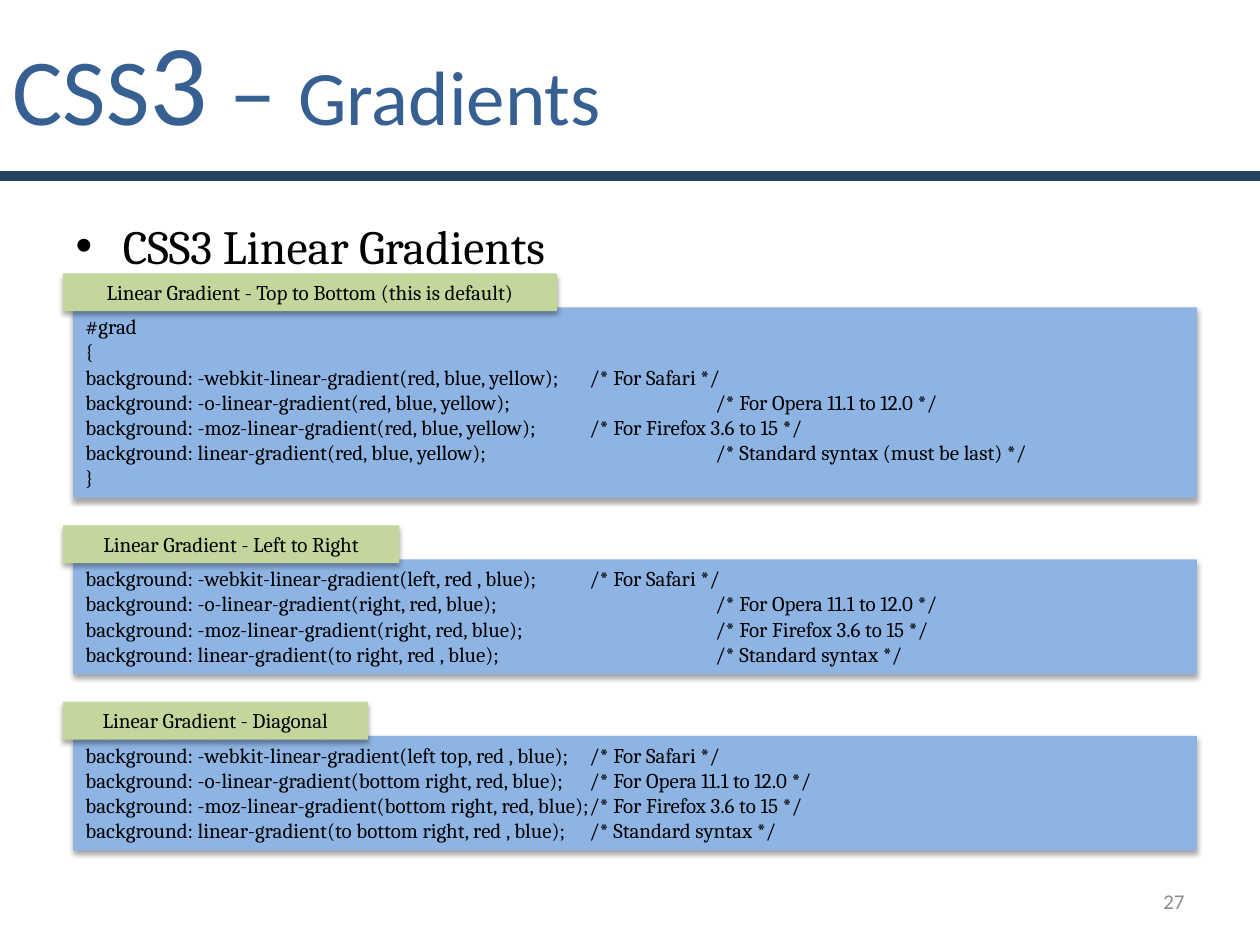
from dataclasses import dataclass

from lxml import etree
from pptx import Presentation
from pptx.dml.color import RGBColor
from pptx.enum.shapes import MSO_SHAPE
from pptx.enum.text import MSO_ANCHOR, MSO_AUTO_SIZE, PP_ALIGN
from pptx.oxml.ns import qn
from pptx.util import Inches, Pt

RECT = MSO_SHAPE.RECTANGLE
TOP, MIDDLE = MSO_ANCHOR.TOP, MSO_ANCHOR.MIDDLE
LEFT, CENTER, RIGHT = PP_ALIGN.LEFT, PP_ALIGN.CENTER, PP_ALIGN.RIGHT
NO_FIT = MSO_AUTO_SIZE.NONE


@dataclass(frozen=True)
class Theme:
    sans: str = "Calibri"
    serif: str = "Cambria"
    title: str = "376092"
    bar: str = "254061"
    code: str = "8EB4E3"
    tag: str = "C3D69B"
    ink: str = "000000"
    grey: str = "8C8C8C"
    small: float = 12
    list_size: float = 27.2
    head: float = 54
    digit: float = 66
    topic: float = 44


@dataclass(frozen=True)
class Panel:
    label: str
    width: float
    lines: tuple[str, ...]


THEME = Theme()
TAB_STOPS = (4, 5)
LINE_STEP = 0.2
PANEL_PAD = 0.11
TAG_DROP = 0.27
PANEL_GAP = 0.22
FIRST_TOP = 2.17

PANELS = (
    Panel("Linear Gradient - Top to Bottom (this is default)", 3.92, (
        "#grad",
        "{",
        "background: -webkit-linear-gradient(red, blue, yellow);\t/* For Safari */",
        "background: -o-linear-gradient(red, blue, yellow);\t\t/* For Opera 11.1 to 12.0 */",
        "background: -moz-linear-gradient(red, blue, yellow);\t/* For Firefox 3.6 to 15 */",
        "background: linear-gradient(red, blue, yellow);\t\t/* Standard syntax (must be last) */",
        "}",
    )),
    Panel("Linear Gradient - Left to Right", 2.67, (
        "background: -webkit-linear-gradient(left, red , blue);\t/* For Safari */",
        "background: -o-linear-gradient(right, red, blue);\t\t/* For Opera 11.1 to 12.0 */",
        "background: -moz-linear-gradient(right, red, blue);\t\t/* For Firefox 3.6 to 15 */",
        "background: linear-gradient(to right, red , blue);\t\t/* Standard syntax */",
    )),
    Panel("Linear Gradient - Diagonal", 2.42, (
        "background: -webkit-linear-gradient(left top, red , blue);\t/* For Safari */",
        "background: -o-linear-gradient(bottom right, red, blue);\t/* For Opera 11.1 to 12.0 */",
        "background: -moz-linear-gradient(bottom right, red, blue);\t/* For Firefox 3.6 to 15 */",
        "background: linear-gradient(to bottom right, red , blue);\t/* Standard syntax */",
    )),
)


def style_run(run, face: str, size: float, color: str) -> None:
    run.font.name = face
    run.font.size = Pt(size)
    run.font.color.rgb = RGBColor.from_string(color)


def style_text(frame, face: str, size: float, color: str, align=LEFT) -> None:
    for line in frame.paragraphs:
        line.alignment = align
        for run in line.runs:
            style_run(run, face, size, color)


def place(shape, left: float, top: float, width: float, height: float) -> None:
    shape.left, shape.top = Inches(left), Inches(top)
    shape.width, shape.height = Inches(width), Inches(height)


def add_rect(slide, left: float, top: float, width: float, height: float, color: str):
    rect = slide.shapes.add_shape(
        RECT, Inches(left), Inches(top), Inches(width), Inches(height))
    rect.shadow.inherit = False
    rect.fill.solid()
    rect.fill.fore_color.rgb = RGBColor.from_string(color)
    rect.line.fill.background()
    return rect


def add_shadow(shape) -> None:
    effects = shape._element.spPr.find(qn("a:effectLst"))
    outer = etree.SubElement(
        effects, qn("a:outerShdw"), blurRad=str(Pt(3.1)), dist=str(Pt(1.8)),
        dir="5400000", rotWithShape="0")
    color = etree.SubElement(outer, qn("a:srgbClr"), val=THEME.ink)
    etree.SubElement(color, qn("a:alpha"), val="35000")


def add_tabs(line) -> None:
    stops = etree.SubElement(line._p.get_or_add_pPr(), qn("a:tabLst"))
    for stop in TAB_STOPS:
        etree.SubElement(stops, qn("a:tab"), pos=str(Inches(stop)), algn="l")


def add_card(slide, left: float, top: float, width: float, height: float,
             color: str, text: str, align=LEFT):
    card = add_rect(slide, left, top, width, height, color)
    add_shadow(card)
    frame = card.text_frame
    frame.word_wrap = True
    frame.vertical_anchor = TOP
    frame.text = text
    style_text(frame, THEME.serif, THEME.small, THEME.ink, align)
    return card


def add_panel(slide, panel: Panel, top: float) -> float:
    code_top = top + TAG_DROP
    height = PANEL_PAD + LINE_STEP * len(panel.lines)
    card = add_card(slide, 0.58, code_top, 8.92, height, THEME.code,
                    "\n".join(panel.lines))
    for line in card.text_frame.paragraphs:
        add_tabs(line)
    add_card(slide, 0.5, top, panel.width, 0.3, THEME.tag, panel.label, CENTER)
    return code_top + height + PANEL_GAP


def fill_title(title) -> None:
    place(title, 0, -0.08, 7.67, 1.42)
    frame = title.text_frame
    frame.auto_size = NO_FIT
    frame.vertical_anchor = MIDDLE
    line = frame.paragraphs[0]
    line.alignment = LEFT
    parts = (("CSS", THEME.head), ("3", THEME.digit),
             (" – ", THEME.head), ("Gradients", THEME.topic))
    for text, size in parts:
        run = line.add_run()
        run.text = text
        style_run(run, THEME.sans, size, THEME.title)


def fill_body(body) -> None:
    place(body, 0.5, 1.67, 9.17, 0.5)
    frame = body.text_frame
    frame.auto_size = NO_FIT
    frame.text = "CSS3 Linear Gradients"
    frame.paragraphs[0].space_before = Pt(0)
    style_text(frame, THEME.serif, THEME.list_size, THEME.ink)


def add_number(slide) -> None:
    box = slide.shapes.add_textbox(
        Inches(7.17), Inches(6.95), Inches(2.33), Inches(0.4))
    frame = box.text_frame
    frame.word_wrap = True
    frame.vertical_anchor = MIDDLE
    frame.text = "27"
    style_text(frame, THEME.sans, THEME.small, THEME.grey, RIGHT)


def main() -> None:
    deck = Presentation()
    deck.slide_width, deck.slide_height = Inches(10), Inches(7.5)
    slide = deck.slides.add_slide(deck.slide_layouts[1])
    fill_title(slide.shapes.title)
    fill_body(slide.placeholders[1])
    bar = add_rect(slide, 0, 1.37, 10, 0.05, THEME.bar)
    bar.line.color.rgb = RGBColor.from_string(THEME.bar)
    bar.line.width = Pt(2)
    add_number(slide)
    top = FIRST_TOP
    for panel in PANELS:
        top = add_panel(slide, panel, top)
    deck.save("out.pptx")


if __name__ == "__main__":
    main()
